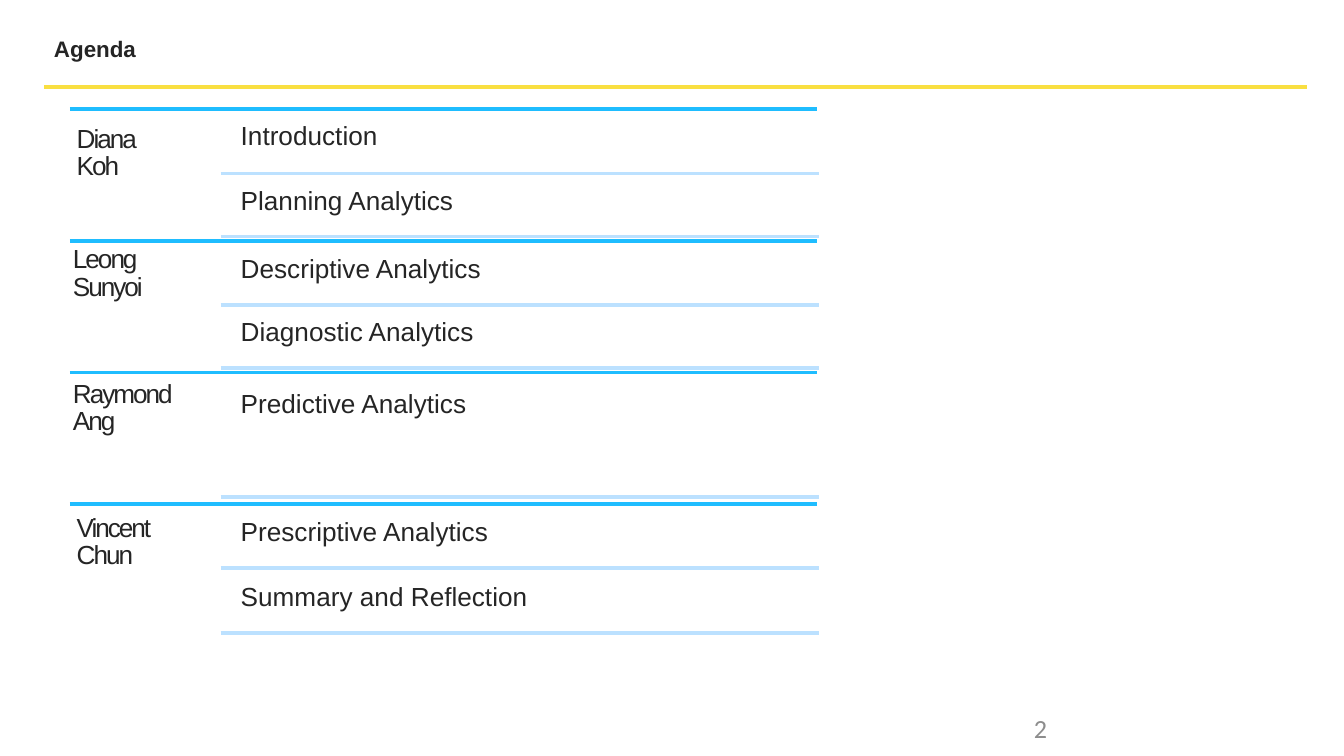
from pptx import Presentation
from pptx.dml.color import RGBColor
from pptx.enum.shapes import MSO_CONNECTOR
from pptx.enum.text import MSO_ANCHOR, MSO_AUTO_SIZE, PP_ALIGN
from pptx.oxml.ns import qn
from pptx.util import Cm, Pt

STRAIGHT = MSO_CONNECTOR.STRAIGHT
TOP = MSO_ANCHOR.TOP
GROW = MSO_AUTO_SIZE.SHAPE_TO_FIT_TEXT
LEFT = PP_ALIGN.LEFT

YELLOW, BLUE, PALE = "F9DF41", "1FBDFF", "BCE1FF"
DARK, GREY = "252525", "8D8D8D"

deck = Presentation()
deck.slide_width, deck.slide_height = Cm(25.4), Cm(14.29)
slide = deck.slides.add_slide(deck.slide_layouts[5])
shapes = slide.shapes


def write(text, x, y, wide, high, box=None, size=14, font="Arial",
          color=DARK, bold=False, space=0, lead=1.0, indent=0.03):
    if box is None:
        box = shapes.add_textbox(0, 0, 0, 0)
    box.left, box.top, box.width, box.height = Cm(x), Cm(y), Cm(wide), Cm(high)
    frame = box.text_frame
    frame.margin_left = frame.margin_right = 0
    frame.margin_top = frame.margin_bottom = 0
    frame.word_wrap = True
    frame.auto_size = GROW
    frame.vertical_anchor = TOP
    par = frame.paragraphs[0]
    par.alignment = LEFT
    par.line_spacing = lead
    par._p.get_or_add_pPr().set("marL", str(Cm(indent)))
    run = par.add_run()
    run.text = text
    run.font.size, run.font.name, run.font.bold = Pt(size), font, bold
    run.font.color.rgb = RGBColor.from_string(color)
    if space:
        # Letter spacing is in hundredths of a point
        run.font._element.set("spc", str(round(space * 100)))


def rule(x, y, end, color):
    line = shapes.add_connector(STRAIGHT, Cm(x), Cm(y), Cm(end), Cm(y))
    line.line.color.rgb = RGBColor.from_string(color)
    line.line.width = Pt(2)
    props = line._element.spPr
    props.append(props.makeelement(qn("a:effectLst"), {}))


# Title and its rule
write("Agenda", 0.99, 0.66, 1.65, 0.48, box=shapes.title, size=12, bold=True)
rule(0.84, 1.65, 24.71, YELLOW)

# Speakers: name, left, top, width, then topics as (text, top, rule below)
groups = [
    ("Diana Koh", 1.42, 2.39, 1.6,
     [("Introduction", 2.26, 3.28), ("Planning Analytics", 3.48, 4.47)]),
    ("Leong Sunyoi", 1.35, 4.67, 1.6,
     [("Descriptive Analytics", 4.78, 5.77),
      ("Diagnostic Analytics", 5.97, 6.96)]),
    ("Raymond Ang", 1.35, 7.21, 1.98,
     [("Predictive Analytics", 7.32, 9.4)]),
    ("Vincent Chun", 1.42, 9.75, 1.6,
     [("Prescriptive Analytics", 9.75, 10.74),
      ("Summary and Reflection", 10.97, 11.96)]),
]
for i, (name, x, y, wide, topics) in enumerate(groups):
    rule(1.32, 2.06 + i * 2.49, 15.44, BLUE)
    write(name, x, y, wide, 1.04, space=-1.1, lead=0.87)
    for topic, top, below in topics:
        write(topic, 4.52, top, 7, 0.61)
        rule(4.17, below, 15.47, PALE)

# Page number
write("2", 19.46, 13.46, 0.43, 0.61, font="Calibri", color=GREY, indent=0.08)

deck.save("out.pptx")
